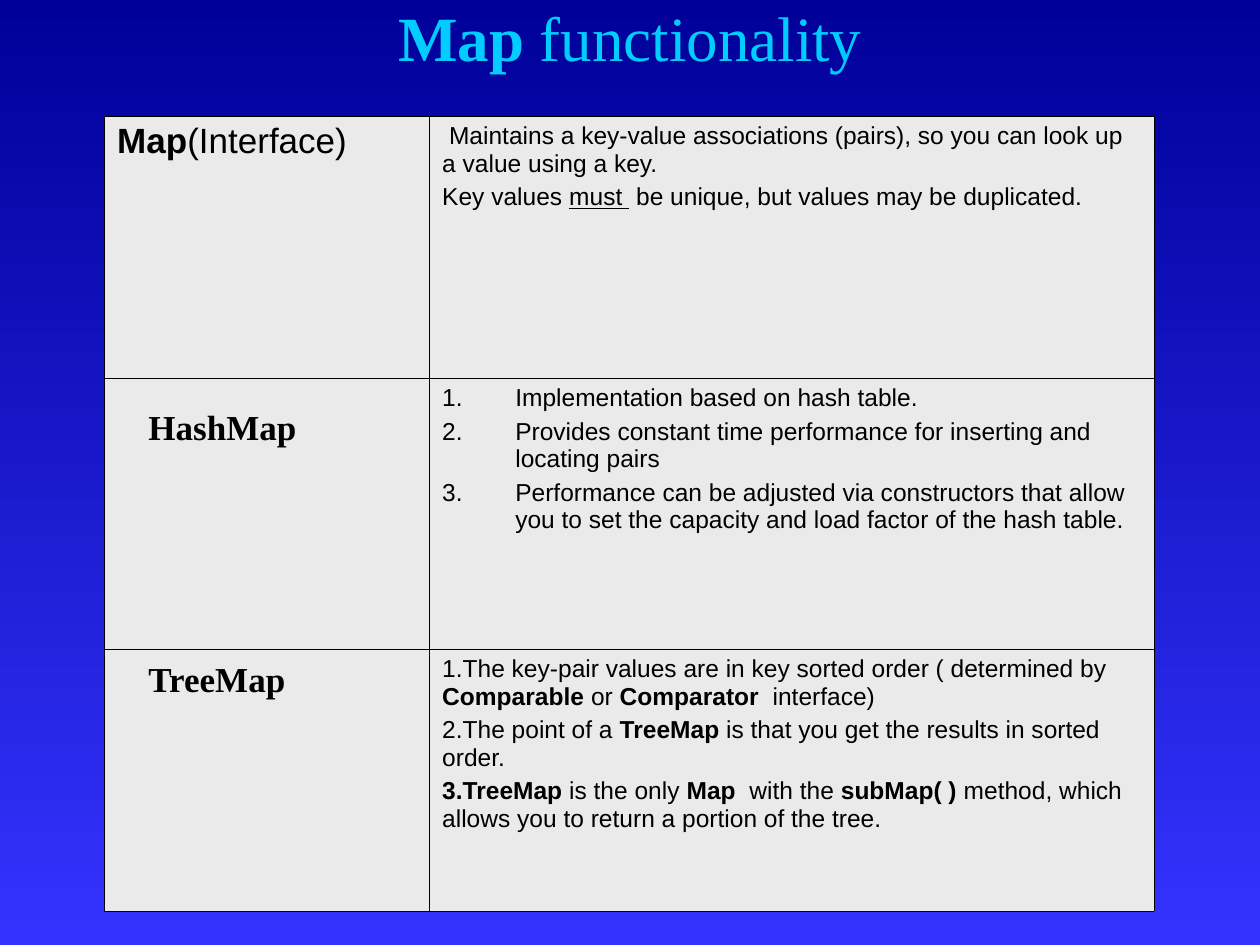
from dataclasses import dataclass, field
from typing import NamedTuple

from pptx import Presentation
from pptx.dml.color import RGBColor
from pptx.enum.text import MSO_ANCHOR, MSO_AUTO_SIZE, PP_ALIGN
from pptx.oxml.ns import qn
from pptx.util import Inches, Pt
from lxml import etree

CENTER = PP_ALIGN.CENTER
MIDDLE = MSO_ANCHOR.MIDDLE
NO_AUTOFIT = MSO_AUTO_SIZE.NONE
GROW = MSO_AUTO_SIZE.SHAPE_TO_FIT_TEXT
TITLE_ONLY = 5

COLORS = {
    "sky_top": "000099",
    "sky_bottom": "3333FF",
    "title": "00CCFF",
    "text": "000000",
    "cell": "EAEAEA",
    "border": "000000",
}
SANS, SERIF = "Arial", "Times New Roman"
BORDER_WIDTH = 0.45
COLUMN_WIDTHS = (2.58, 5.75)
ROW_HEIGHTS = (2.08, 2.15, 2.08)


class Span(NamedTuple):
    text: str
    bold: bool = False
    italic: bool = False
    underline: bool = False


@dataclass
class CellText:
    paragraphs: list[list[Span]] = field(default_factory=list)
    size: float = 14
    numbered: bool = False
    hanging: float = 0


class Label(NamedTuple):
    text: str
    top: float


ROWS = [
    (
        CellText([[Span("Map", bold=True), Span("(Interface)")]], size=20),
        CellText([
            [Span(" Maintains a key-value associations (pairs), so you can look up a value using a key.")],
            [Span("Key values "), Span("must", underline=True), Span(" ", italic=True, underline=True),
             Span(" be unique, but values may be duplicated.")],
        ]),
    ),
    (
        CellText(),
        CellText([
            [Span("Implementation based on hash table.")],
            [Span("Provides constant time performance for inserting and locating pairs")],
            [Span("Performance can be adjusted via constructors that allow you to set the "
                  "capacity and load factor of the hash table.")],
        ], numbered=True, hanging=0.58),
    ),
    (
        CellText(),
        CellText([
            [Span("The key-pair values are in key sorted order ( determined by "),
             Span("Comparable", bold=True), Span(" or "), Span("Comparator ", bold=True),
             Span(" interface)")],
            [Span("The point of a "), Span("TreeMap", bold=True),
             Span(" is that you get the results in sorted order.")],
            [Span("TreeMap", bold=True), Span(" is the only "), Span("Map ", bold=True),
             Span(" with the "), Span("subMap( )", bold=True),
             Span(" method, which allows you to return a portion of the tree.")],
        ], numbered=True),
    ),
]
LABELS = [Label("HashMap", 3.17), Label("TreeMap", 5.17)]


def color(name: str) -> RGBColor:
    return RGBColor.from_string(COLORS[name])


def write_spans(para, spans: list[Span], font: str, size: float, color_name: str) -> None:
    for span in spans:
        run = para.add_run()
        run.text = span.text
        formats = {"name": font, "size": Pt(size), "bold": span.bold,
                   "italic": span.italic, "underline": span.underline}
        for key, value in formats.items():
            setattr(run.font, key, value)
        run.font.color.rgb = color(color_name)


def number_paragraph(para, hanging: float) -> None:
    properties = para._p.get_or_add_pPr()
    properties.set("marL", str(Inches(hanging)))
    properties.set("indent", str(-Inches(hanging)))
    bullet_color = etree.SubElement(properties, qn("a:buClr"))
    etree.SubElement(bullet_color, qn("a:srgbClr"), val=COLORS["text"])
    etree.SubElement(properties, qn("a:buFontTx"))
    etree.SubElement(properties, qn("a:buAutoNum"), type="arabicPeriod")


def draw_borders(cell) -> None:
    properties = cell._tc.get_or_add_tcPr()
    for index, side in enumerate(("lnL", "lnR", "lnT", "lnB")):
        line = etree.Element(qn(f"a:{side}"), w=str(Pt(BORDER_WIDTH)))
        fill = etree.SubElement(line, qn("a:solidFill"))
        etree.SubElement(fill, qn("a:srgbClr"), val=COLORS["border"])
        properties.insert(index, line)


def fill_cell(cell, content: CellText) -> None:
    cell.fill.solid()
    cell.fill.fore_color.rgb = color("cell")
    draw_borders(cell)
    frame = cell.text_frame
    for index, spans in enumerate(content.paragraphs):
        para = frame.add_paragraph() if index else frame.paragraphs[0]
        if index:
            para.space_before = Pt(content.size / 4)
        if content.numbered:
            number_paragraph(para, content.hanging)
        write_spans(para, spans, SANS, content.size, "text")


def add_map_table(slide) -> None:
    frame = slide.shapes.add_table(
        len(ROW_HEIGHTS), len(COLUMN_WIDTHS), Inches(0.83), Inches(0.92),
        Inches(sum(COLUMN_WIDTHS)), Inches(sum(ROW_HEIGHTS)))
    table = frame.table
    table.first_row = table.horz_banding = False
    for column, width in zip(table.columns, COLUMN_WIDTHS):
        column.width = Inches(width)
    for row, height, contents in zip(table.rows, ROW_HEIGHTS, ROWS):
        row.height = Inches(height)
        for cell, content in zip(row.cells, contents):
            fill_cell(cell, content)


def add_label(slide, label: Label) -> None:
    box = slide.shapes.add_textbox(Inches(1.08), Inches(label.top), Inches(2), Inches(0.44))
    frame = box.text_frame
    frame.word_wrap = True
    frame.auto_size = GROW
    write_spans(frame.paragraphs[0], [Span(label.text, bold=True)], SERIF, 20, "text")


def set_title(slide) -> None:
    title = slide.shapes.title
    position = {"left": 0.75, "top": 0, "width": 8.5, "height": 0.58}
    for key, value in position.items():
        setattr(title, key, Inches(value))
    frame = title.text_frame
    formats = {"word_wrap": True, "auto_size": NO_AUTOFIT, "vertical_anchor": MIDDLE}
    for key, value in formats.items():
        setattr(frame, key, value)
    para = frame.paragraphs[0]
    para.alignment = CENTER
    write_spans(para, [Span("Map ", bold=True), Span("functionality")], SERIF, 36, "title")


def set_background(slide) -> None:
    fill = slide.background.fill
    fill.gradient()
    fill.gradient_angle = 270
    for stop, name in zip(fill.gradient_stops, ("sky_top", "sky_bottom")):
        stop.color.rgb = color(name)


def main() -> None:
    deck = Presentation()
    deck.slide_width, deck.slide_height = Inches(10), Inches(7.5)
    slide = deck.slides.add_slide(deck.slide_layouts[TITLE_ONLY])
    set_background(slide)
    set_title(slide)
    add_map_table(slide)
    for label in LABELS:
        add_label(slide, label)
    deck.save("out.pptx")


if __name__ == "__main__":
    main()
